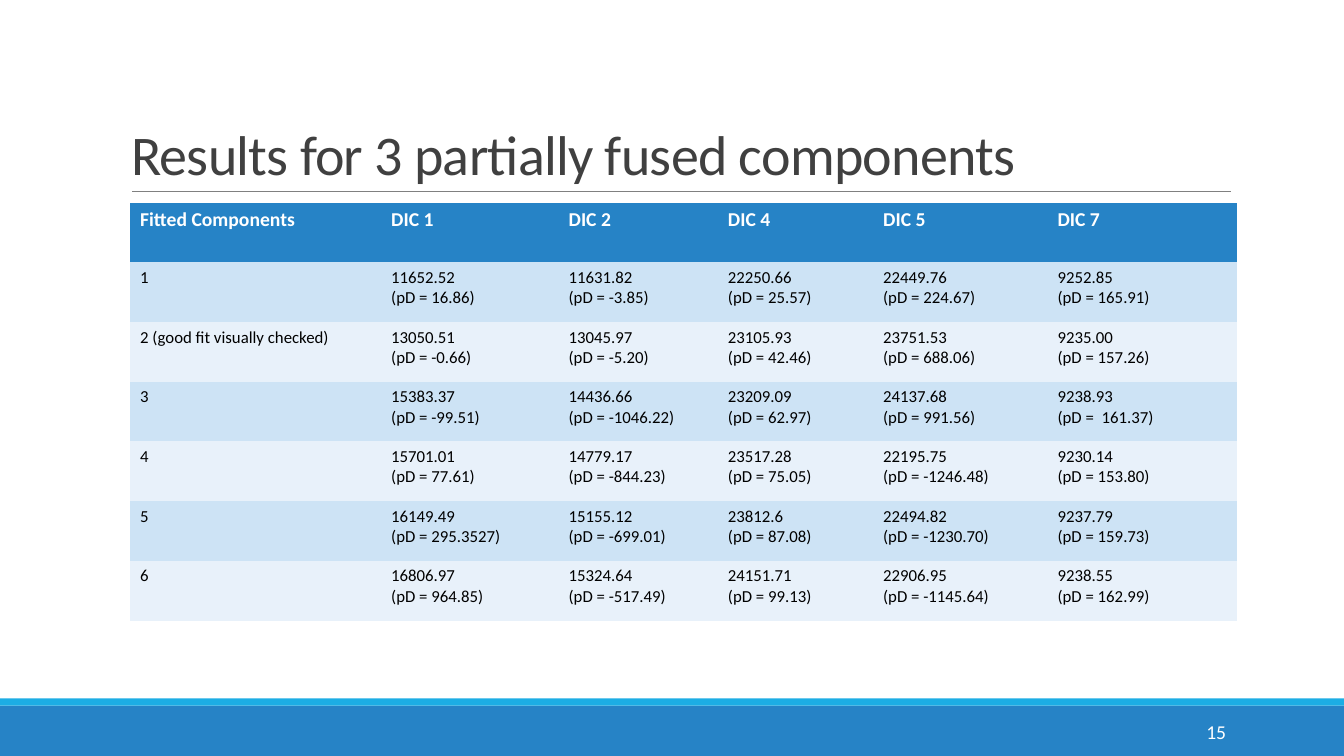
import pptx
import pptx.util
import pptx.dml.color
import pptx.enum.shapes
import pptx.enum.text
import lxml.etree

RGB = pptx.dml.color.RGBColor
BLUE = RGB(0x26, 0x83, 0xC6)
CYAN = RGB(0x1C, 0xAD, 0xE4)
BANDS = [RGB(0xE8, 0xF1, 0xFA), RGB(0xCD, 0xE3, 0xF5)]
GRAY = RGB(0x80, 0x80, 0x80)
DARK = RGB(0x40, 0x40, 0x40)
WHITE = RGB(0xFF, 0xFF, 0xFF)
BLACK = RGB(0, 0, 0)
NO_GRID = "{2D5ABB26-0587-4C30-8999-92F81FD0307C}"
Inches = pptx.util.Inches
ANCHOR = pptx.enum.text.MSO_ANCHOR
ALIGN = pptx.enum.text.PP_ALIGN


def write(tf, text, size=12, color=BLACK, bold=False, align=ALIGN.LEFT,
          anchor=ANCHOR.TOP, line_spacing=None, tracking=None):
    tf.word_wrap = True
    tf.vertical_anchor = anchor
    for i, line in enumerate(text.split("\n")):
        p = tf.paragraphs[0] if i == 0 else tf.add_paragraph()
        p.alignment = align
        p.line_spacing = line_spacing
        r = p.add_run()
        r.text = line
        r.font.name = "Calibri"
        r.font.size = pptx.util.Pt(size)
        r.font.bold = bold
        r.font.color.rgb = color
        if tracking is not None:
            r._r.get_or_add_rPr().set("spc", str(int(tracking * 100)))


prs = pptx.Presentation()
prs.slide_width = Inches(13.33)
prs.slide_height = Inches(7.5)
s = prs.slides.add_slide(prs.slide_layouts[5])

for top, height, color in [(7, 0.5, BLUE), (6.93, 0.07, CYAN)]:
    sp = s.shapes.add_shape(pptx.enum.shapes.MSO_SHAPE.RECTANGLE, 0, Inches(top),
                            prs.slide_width, Inches(height))
    sp.shadow.inherit = False
    sp.fill.solid()
    sp.fill.fore_color.rgb = color
    sp.line.fill.background()

rule = s.shapes.add_connector(pptx.enum.shapes.MSO_CONNECTOR.STRAIGHT,
                              Inches(1.31), Inches(1.9), Inches(12.21), Inches(1.9))
rule.line.color.rgb = GRAY
rule.line.width = pptx.util.Pt(0.5)
lxml.etree.SubElement(rule._element.spPr, pptx.oxml.ns.qn("a:effectLst"))

title = s.shapes.title
title.left, title.top = Inches(1.2), Inches(0.31)
title.width, title.height = Inches(11), Inches(1.59)
title.text_frame.auto_size = pptx.enum.text.MSO_AUTO_SIZE.NONE
write(title.text_frame, "Results for 3 partially fused components", size=40, color=DARK,
      anchor=ANCHOR.BOTTOM, line_spacing=0.85, tracking=-0.5)

header = ["Fitted Components", "DIC 1", "DIC 2", "DIC 4", "DIC 5", "DIC 7"]
results = [
    ("1", ("11652.52", "16.86"), ("11631.82", "-3.85"), ("22250.66", "25.57"),
     ("22449.76", "224.67"), ("9252.85", "165.91")),
    ("2 (good fit visually checked)", ("13050.51", "-0.66"), ("13045.97", "-5.20"),
     ("23105.93", "42.46"), ("23751.53", "688.06"), ("9235.00", "157.26")),
    ("3", ("15383.37", "-99.51"), ("14436.66", "-1046.22"), ("23209.09", "62.97"),
     ("24137.68", "991.56"), ("9238.93", " 161.37")),
    ("4", ("15701.01", "77.61"), ("14779.17", "-844.23"), ("23517.28", "75.05"),
     ("22195.75", "-1246.48"), ("9230.14", "153.80")),
    ("5", ("16149.49", "295.3527"), ("15155.12", "-699.01"), ("23812.6", "87.08"),
     ("22494.82", "-1230.70"), ("9237.79", "159.73")),
    ("6", ("16806.97", "964.85"), ("15324.64", "-517.49"), ("24151.71", "99.13"),
     ("22906.95", "-1145.64"), ("9238.55", "162.99")),
]
rows = [header]
for label, *values in results:
    rows.append([label] + [f"{dic}\n(pD = {pd})" for dic, pd in values])

frame = s.shapes.add_table(len(rows), len(header), Inches(1.29), Inches(2.01),
                           Inches(10.97), Inches(4.15))
tbl = frame.table
tbl._tbl.tblPr.find(pptx.oxml.ns.qn("a:tableStyleId")).text = NO_GRID
for col, width in zip(tbl.columns, [2.49, 1.76, 1.58, 1.54, 1.73, 1.88]):
    col.width = Inches(width)
for i, row in enumerate(rows):
    for j, text in enumerate(row):
        cell = tbl.cell(i, j)
        cell.fill.solid()
        if i == 0:
            cell.fill.fore_color.rgb = BLUE
            write(cell.text_frame, text, size=14, color=WHITE, bold=True)
        else:
            cell.fill.fore_color.rgb = BANDS[i % 2]
            write(cell.text_frame, text)

number = s.shapes.add_textbox(Inches(10.83), Inches(7.06), Inches(1.43), Inches(0.4))
write(number.text_frame, "15", size=14, color=WHITE, align=ALIGN.RIGHT, anchor=ANCHOR.MIDDLE)

prs.save("out.pptx")
